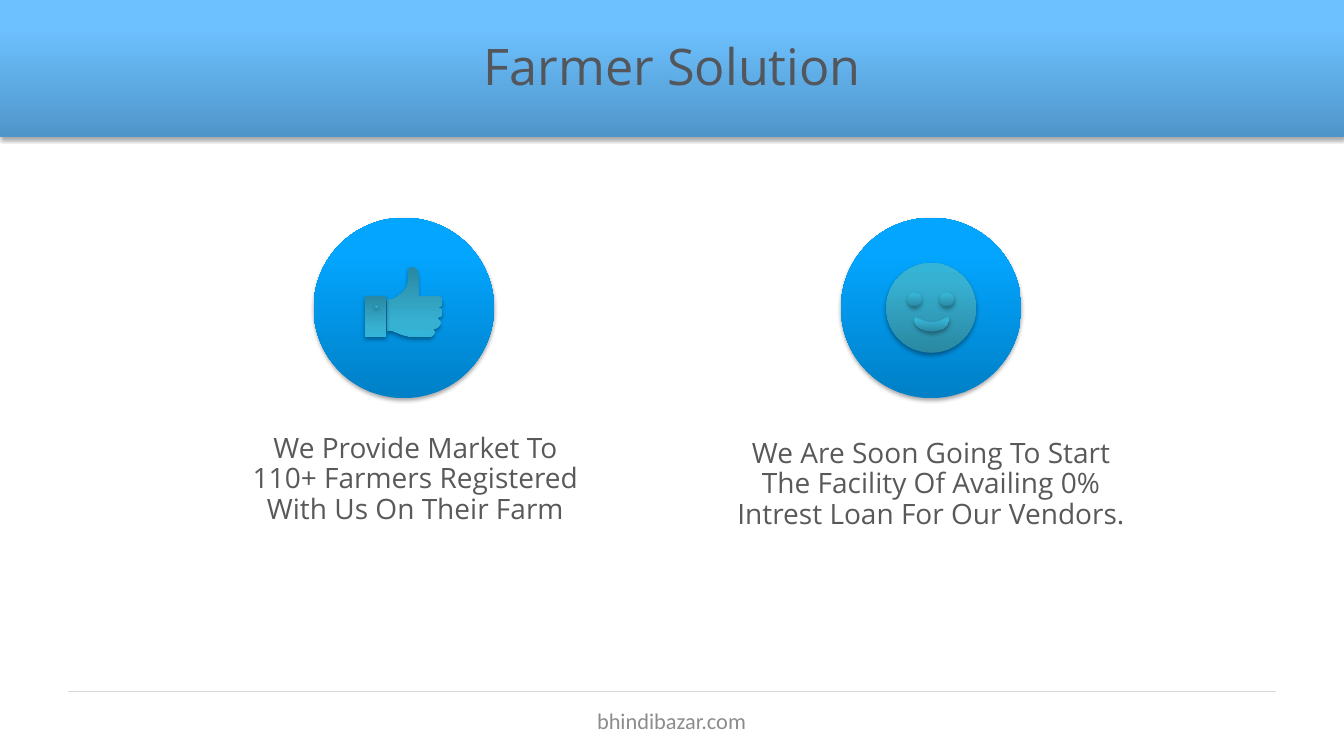
from pptx import Presentation
from pptx import util as u
from pptx.dml.color import RGBColor
from pptx.enum import shapes, text
from pptx.oxml import parse_xml
from pptx.oxml.ns import nsdecls, qn

TITLE = RGBColor(0x53, 0x57, 0x5C)
BODY = RGBColor(0x59, 0x59, 0x59)
FOOTER = RGBColor(0x8C, 0x8C, 0x8C)
RULE = RGBColor(0xD9, 0xD9, 0xD9)
BLACK = RGBColor(0, 0, 0)

# Gradient stops at 0, 80 and 100 percent
HEADER_BLUES = [RGBColor(0x4F, 0x95, 0xC9), RGBColor(0x6D, 0xC1, 0xFF), RGBColor(0x6F, 0xC1, 0xFF)]
DISC_BLUES = [RGBColor(0x00, 0x80, 0xC6), RGBColor(0x03, 0xA5, 0xFF), RGBColor(0x04, 0xA5, 0xFF)]
ICON_TEALS = [RGBColor(0x2A, 0x88, 0xA2), RGBColor(0x37, 0xB1, 0xD2), RGBColor(0x34, 0xB4, 0xD6)]

UP, DOWN = 270, 90
DISC = 1.79
RECT = shapes.MSO_SHAPE.RECTANGLE
OVAL = shapes.MSO_SHAPE.OVAL

# Outlines in hundredths of an inch from the disc's top left corner
THUMB = [
    (96, 118), (116, 118), (119, 116), (120, 114), (119, 111), (116, 110),
    (120, 110), (123, 109), (125, 107), (126, 104), (125, 102), (123, 100),
    (120, 99), (123, 99), (126, 98), (128, 95), (128, 92), (126, 90),
    (123, 89), (126, 88), (128, 86), (128, 83), (127, 80), (125, 78),
    (123, 78), (104, 78), (104, 57), (103, 52), (101, 50), (98, 49),
    (95, 49), (94, 51), (94, 61), (93, 67), (91, 71), (87, 75), (82, 79),
    (78, 81), (73, 81), (73, 112), (78, 112), (83, 114), (88, 116), (92, 117)]
SMILE = [
    (90, 113), (96, 112), (102, 110), (105, 107), (107, 103), (107, 100),
    (106, 99), (103, 100), (97, 103), (90, 104), (83, 103), (77, 100),
    (74, 99), (73, 100), (73, 103), (75, 107), (79, 110), (84, 112)]


def style(sp, colors, angle=UP):
    """Gradient fill, no outline and a soft shadow below."""
    sp.fill.background()
    sp.line.fill.background()
    sp.shadow.inherit = False
    stops = "".join(
        f'<a:gs pos="{pos * 1000}"><a:srgbClr val="{c}"/></a:gs>'
        for pos, c in zip((0, 80, 100), colors))
    grad = parse_xml(
        f'<a:gradFill {nsdecls("a")} rotWithShape="1"><a:gsLst>{stops}</a:gsLst>'
        f'<a:lin ang="{angle * 60000}" scaled="0"/></a:gradFill>')
    props = sp._element.spPr
    props.replace(props.find(qn("a:noFill")), grad)
    props.find(qn("a:effectLst")).append(parse_xml(
        f'<a:outerShdw {nsdecls("a")} blurRad="{u.Pt(3.1)}" dist="{u.Pt(1.8)}" '
        f'dir="5400000" rotWithShape="0"><a:srgbClr val="{BLACK}">'
        '<a:alpha val="35000"/></a:srgbClr></a:outerShdw>'))


def add_preset(slide, kind, x, y, w, h, colors, angle=UP):
    sp = slide.shapes.add_shape(kind, *map(u.Inches, (x, y, w, h)))
    style(sp, colors, angle)


def add_outline(slide, points, x, y, angle=UP):
    fb = slide.shapes.build_freeform(*points[0], scale=u.Inches(0.01))
    fb.add_line_segments(points[1:], close=True)
    style(fb.convert_to_shape(u.Inches(x), u.Inches(y)), ICON_TEALS, angle)


def add_text(slide, words, x, y, w, h, *, size, color, font="Open Sans",
             anchor=text.MSO_ANCHOR.TOP, inset=(0.1, 0.05), spacing=0.9):
    tf = slide.shapes.add_textbox(*map(u.Inches, (x, y, w, h))).text_frame
    tf.word_wrap = True
    tf.vertical_anchor = anchor
    tf.margin_left = tf.margin_right = u.Inches(inset[0])
    tf.margin_top = tf.margin_bottom = u.Inches(inset[1])
    p = tf.paragraphs[0]
    p.alignment = text.PP_ALIGN.CENTER
    p.line_spacing = spacing
    r = p.add_run()
    r.text = words
    r.font.name, r.font.size = font, u.Pt(size)
    r.font.color.rgb = color


def header(slide, x, y, w, h):
    add_preset(slide, RECT, x, y, w, h, HEADER_BLUES)
    add_text(slide, "Farmer Solution", x + 0.67, y + 0.3, 12, 0.78,
             size=36, color=TITLE, anchor=text.MSO_ANCHOR.MIDDLE, inset=(0.13, 0.07))


def thumb_icon(slide, x, y):
    add_outline(slide, THUMB, x, y, DOWN)
    # Cuff and its button
    add_preset(slide, RECT, x + 0.51, y + 0.78, 0.21, 0.4, ICON_TEALS, DOWN)
    add_preset(slide, OVAL, x + 0.61, y + 0.86, 0.03, 0.03, ICON_TEALS, DOWN)


def smiley_icon(slide, x, y):
    add_preset(slide, OVAL, x + 0.45, y + 0.45, 0.89, 0.89, ICON_TEALS)
    add_outline(slide, SMILE, x, y)
    for eye in (0.66, 0.98):
        add_preset(slide, OVAL, x + eye, y + 0.74, 0.14, 0.14, ICON_TEALS)


def benefit(slide, x, y, icon, words, text_box):
    """A disc with its icon, and a caption placed relative to the disc."""
    add_preset(slide, OVAL, x, y, DISC, DISC, DISC_BLUES)
    icon(slide, x, y)
    dx, dy, w, h = text_box
    add_text(slide, words, x + dx, y + dy, w, h, size=20, color=BODY)


def footer(slide, x, y, w):
    ln = slide.shapes.add_connector(
        shapes.MSO_CONNECTOR.STRAIGHT, *map(u.Inches, (x, y, x + w, y)))
    ln.line.color.rgb = RULE
    ln.line.width = u.Pt(0.75)
    ln._element.spPr.append(parse_xml(f'<a:effectLst {nsdecls("a")}/>'))
    add_text(slide, "bhindibazar.com", x + 3.88, y + 0.09, 4.22, 0.4,
             size=16, color=FOOTER, font="Calibri", spacing=1.0,
             anchor=text.MSO_ANCHOR.MIDDLE, inset=(0.13, 0.07))


def main():
    prs = Presentation()
    prs.slide_width, prs.slide_height = u.Inches(13.33), u.Inches(7.5)
    slide = prs.slides.add_slide(prs.slide_layouts[6])
    header(slide, 0, 0, 13.33, 1.36)
    benefit(slide, 3.11, 2.16, thumb_icon,
            "We Provide Market To 110+ Farmers Registered With Us On Their Farm",
            (-0.8, 2.1, 3.62, 1.11))
    benefit(slide, 8.34, 2.16, smiley_icon,
            "We Are Soon Going To Start The Facility Of Availing 0% "
            "Intrest Loan For Our Vendors.",
            (-1.21, 2.15, 4.21, 1.11))
    footer(slide, 0.67, 6.86, 11.99)
    prs.save("out.pptx")


if __name__ == "__main__":
    main()
